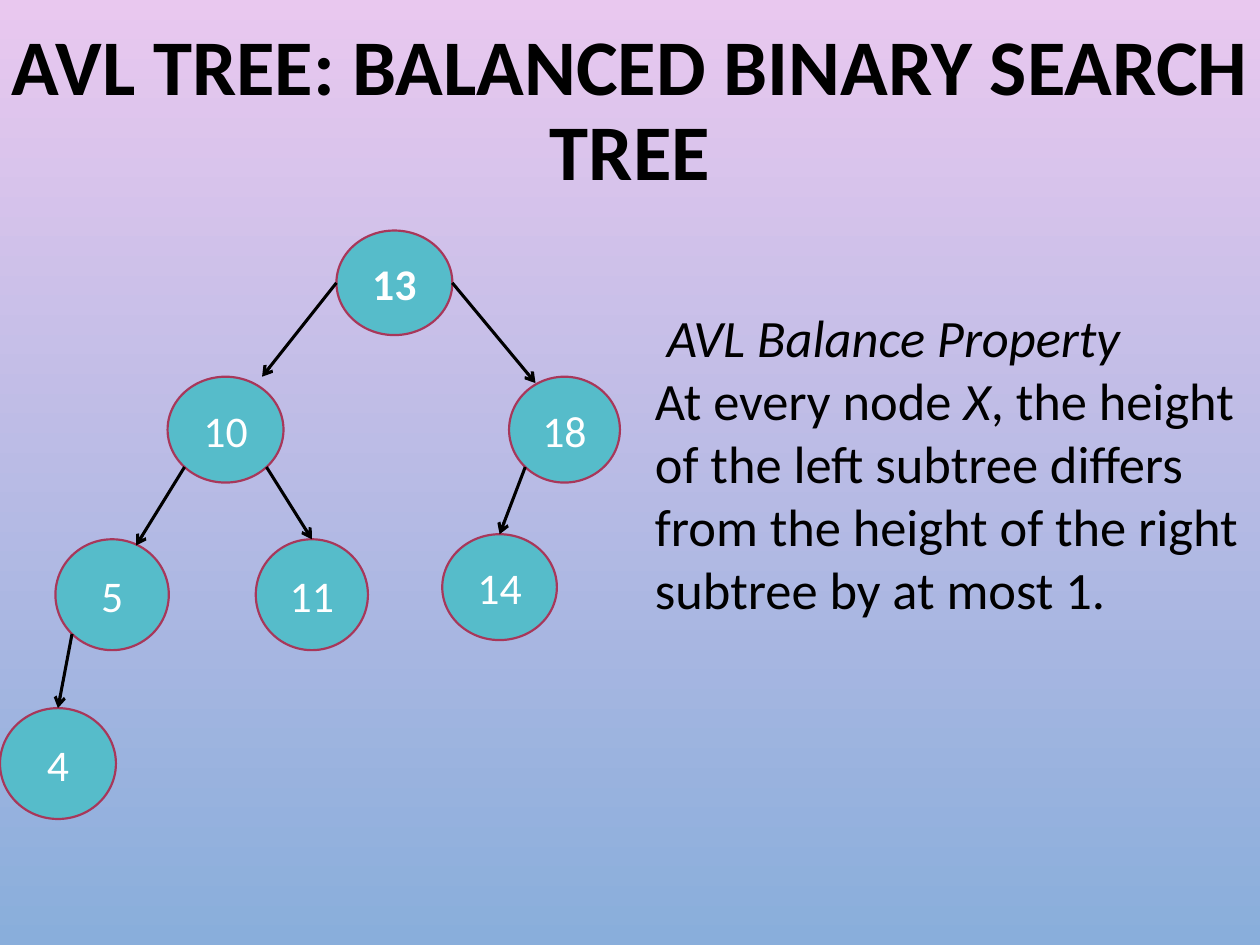
from dataclasses import dataclass
from math import sqrt

from lxml import etree
from pptx import Presentation
from pptx.dml.color import RGBColor
from pptx.enum import shapes, text
from pptx.oxml import ns
from pptx.util import Inches, Pt


@dataclass(frozen=True)
class Theme:
    font: str = "Calibri"
    ink: RGBColor = RGBColor(0, 0, 0)
    pale: RGBColor = RGBColor(255, 255, 255)
    node: RGBColor = RGBColor.from_string("56BCCA")
    rim: RGBColor = RGBColor.from_string("A8375A")
    sky: tuple = ("E9C8EF", "89AEDB")
    title: int = 45
    body: int = 30
    label: int = 25


THEME = Theme()
DIAG = sqrt(0.5)
LEFT, RIGHT = (-1, 0), (1, 0)
LOW_LEFT, LOW_RIGHT = (-DIAG, DIAG), (DIAG, DIAG)

# key: left, top, width, height
NODES = {
    13: (2.67, 1.83, 0.92, 0.83),
    10: (1.33, 2.99, 0.92, 0.84),
    11: (2.03, 4.28, 0.89, 0.88),
    18: (4.04, 2.99, 0.88, 0.84),
    5: (0.44, 4.28, 0.9, 0.88),
    14: (3.51, 4.24, 0.91, 0.84),
    4: (0, 5.62, 0.92, 0.88),
}
# parent, side it leaves from, child, end point (None: top of the child)
EDGES = [
    (13, RIGHT, 18, (4.25, 3.04)),
    (13, LEFT, 10, (2.08, 2.99)),
    (10, LOW_LEFT, 5, (1.08, 4.33)),
    (10, LOW_RIGHT, 11, None),
    (18, LOW_LEFT, 14, None),
    (5, LOW_LEFT, 4, None),
]


def style(font, size, color, bold=False):
    font.name, font.size, font.bold = THEME.font, Pt(size), bold
    font.color.rgb = color


def paint_back(slide):
    fill = slide.background.fill
    fill.gradient()
    fill.gradient_angle = 270
    for stop, color in zip(fill.gradient_stops, THEME.sky):
        stop.color.rgb = RGBColor.from_string(color)


def place(shape, *box):
    shape.left, shape.top, shape.width, shape.height = map(Inches, box)


def set_title(slide):
    title = slide.shapes.title
    place(title, -0.21, 0.02, 10.42, 1.75)
    frame = title.text_frame
    frame.text = "AVL TREE: BALANCED BINARY SEARCH TREE"
    frame.word_wrap = True
    frame.auto_size = text.MSO_AUTO_SIZE.NONE
    frame.vertical_anchor = text.MSO_ANCHOR.MIDDLE
    para = frame.paragraphs[0]
    para.alignment, para.line_spacing = text.PP_ALIGN.CENTER, 0.9
    style(para.font, THEME.title, THEME.ink, bold=True)


def add_node(slide, key, box, bold):
    node = slide.shapes.add_shape(shapes.MSO_SHAPE.OVAL, *map(Inches, box))
    node.shadow.inherit = False
    node.fill.solid()
    node.fill.fore_color.rgb = THEME.node
    node.line.color.rgb = THEME.rim
    node.line.width = Pt(1.25)
    frame = node.text_frame
    frame.text = str(key)
    frame.vertical_anchor = text.MSO_ANCHOR.MIDDLE
    para = frame.paragraphs[0]
    para.alignment = text.PP_ALIGN.CENTER
    style(para.font, THEME.label, THEME.pale, bold)
    return node


def rim_point(node, side):
    """Point on the oval's outline in the direction of the unit vector side."""
    return (int(node.left + node.width * (1 + side[0]) / 2),
            int(node.top + node.height * (1 + side[1]) / 2))


def add_edge(slide, parent, side, child, end):
    stop = map(Inches, end) if end else rim_point(child, (0, -1))
    edge = slide.shapes.add_connector(
        shapes.MSO_CONNECTOR.STRAIGHT, *rim_point(parent, side), *stop)
    if end is None:
        edge.end_connect(child, 0)
    edge.line.color.rgb = THEME.ink
    edge.line.width = Pt(1.75)
    etree.SubElement(edge.line._get_or_add_ln(), ns.qn("a:tailEnd"), type="arrow")
    etree.SubElement(edge._element.spPr, ns.qn("a:effectLst"))


def add_rule(slide):
    box = slide.shapes.add_textbox(*map(Inches, (5.1, 2.37, 5, 3.13)))
    frame = box.text_frame
    frame.word_wrap = True
    frame.auto_size = text.MSO_AUTO_SIZE.SHAPE_TO_FIT_TEXT
    head, body = frame.paragraphs[0], frame.add_paragraph()
    for para in (head, body):
        style(para.font, THEME.body, THEME.ink)
    head.add_run().text = " AVL Balance Property"
    head.font.italic = True
    for words, slant in (
        ("At every node ", False),
        ("X", True),
        (", the height of the left subtree differs from the height"
         " of the right subtree by at most 1.", False),
    ):
        run = body.add_run()
        run.text, run.font.italic = words, slant


def main():
    deck = Presentation()
    deck.slide_width, deck.slide_height = Inches(10), Inches(7.5)
    slide = deck.slides.add_slide(deck.slide_layouts.get_by_name("Title Only"))
    paint_back(slide)
    set_title(slide)
    nodes = {key: add_node(slide, key, box, bold=key == 13)
             for key, box in NODES.items()}
    for parent, side, child, end in EDGES:
        add_edge(slide, nodes[parent], side, nodes[child], end)
    add_rule(slide)
    deck.save("out.pptx")


if __name__ == "__main__":
    main()
